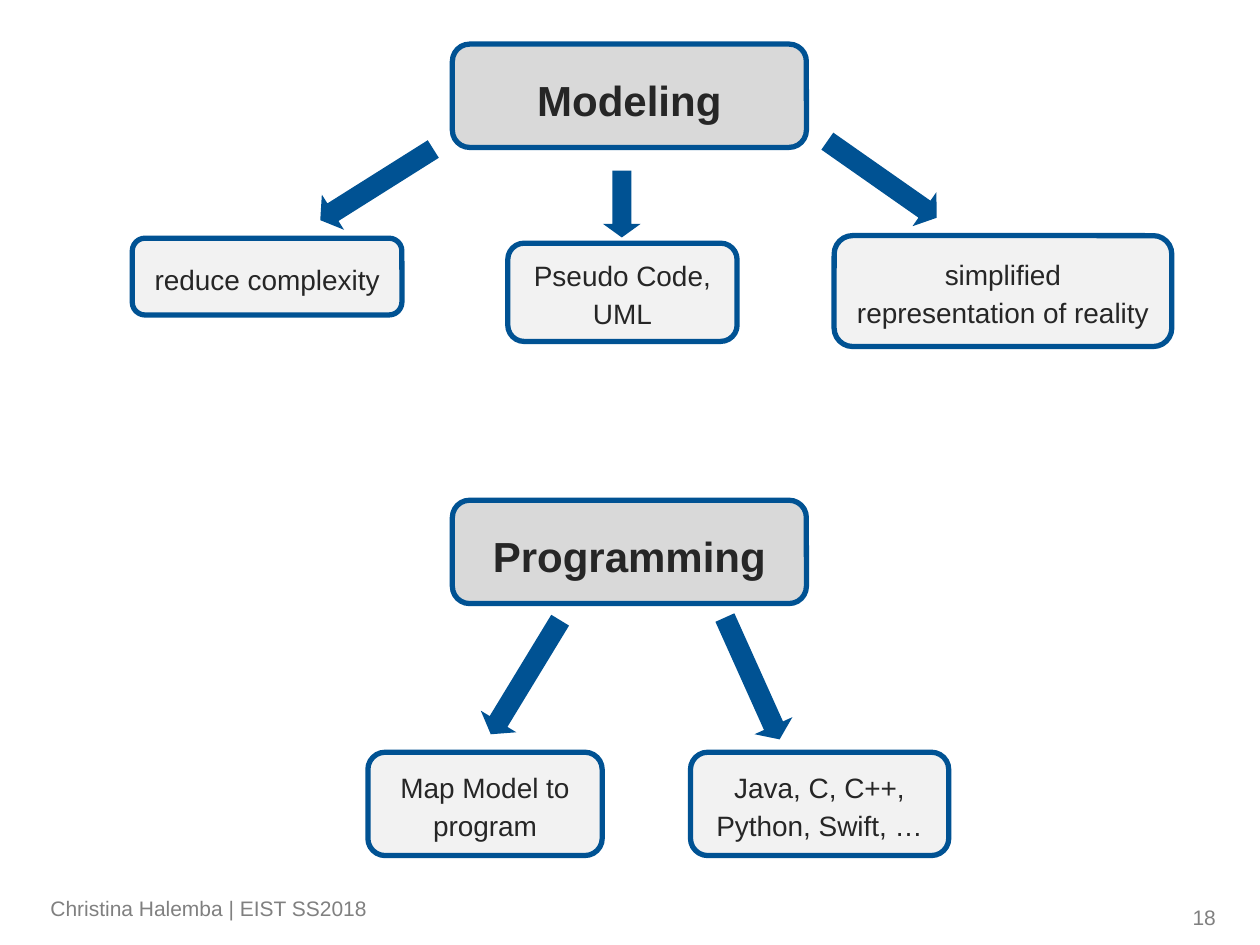
from dataclasses import dataclass

from pptx import Presentation
from pptx import util as u
from pptx.dml.color import RGBColor
from pptx.enum import shapes, text


@dataclass(frozen=True)
class Theme:
    font: str = "Arial"
    blue: str = "005293"
    topic_fill: str = "D9D9D9"
    detail_fill: str = "F2F2F2"
    ink: str = "262626"
    muted: str = "808080"
    topic_pt: int = 24
    detail_pt: int = 16
    footer_pt: int = 12
    border_pt: int = 3
    spacing: float = 1.14


@dataclass(frozen=True)
class Box:
    label: str
    left: float
    top: float
    width: float
    height: float
    topic: bool = False


@dataclass(frozen=True)
class Arrow:
    left: float
    top: float
    angle: float
    length: float = 1.06
    thickness: float = 0.33


THEME = Theme()
TOPIC = dict(left=3.59, width=2.81, height=0.82, topic=True)

BOXES = [
    Box("Modeling", top=0.35, **TOPIC),
    Box("reduce complexity", 1.05, 1.89, 2.14, 0.61),
    Box("Pseudo Code, UML", 4.03, 1.93, 1.82, 0.78),
    Box("simplified representation of reality", 6.62, 1.87, 2.68, 0.88),
    Box("Programming", top=3.97, **TOPIC),
    Box("Map Model to program", 2.92, 5.97, 1.86, 0.82),
    Box("Java, C, C++, Python, Swift, …", 5.48, 5.97, 2.05, 0.82),
]

ARROWS = [
    Arrow(2.46, 1.3, 147.8),
    Arrow(4.67, 1.47, 90, length=0.53, thickness=0.3),
    Arrow(6.47, 1.26, 35),
    Arrow(3.64, 5.21, 121.3),
    Arrow(5.44, 5.22, 65.8),
]


def inches(*values: float) -> list:
    return [u.Inches(v) for v in values]


def write(sp, content: str, *, size: int, color: str, bold: bool = False,
          align=text.PP_ALIGN.LEFT, anchor=text.MSO_ANCHOR.TOP,
          spacing: float = 1.0) -> None:
    tf = sp.text_frame
    tf.word_wrap = True
    tf.vertical_anchor = anchor
    p = tf.paragraphs[0]
    p.alignment = align
    p.line_spacing = spacing
    r = p.add_run()
    r.text = content
    r.font.name = THEME.font
    r.font.size = u.Pt(size)
    r.font.bold = bold
    r.font.color.rgb = RGBColor.from_string(color)


def add_filled(s, kind, left: float, top: float, width: float, height: float, fill: str):
    sp = s.shapes.add_shape(kind, *inches(left, top, width, height))
    sp.shadow.inherit = False
    sp.fill.solid()
    sp.fill.fore_color.rgb = RGBColor.from_string(fill)
    return sp


def draw_box(s, box: Box) -> None:
    fill = THEME.topic_fill if box.topic else THEME.detail_fill
    sp = add_filled(s, shapes.MSO_SHAPE.ROUNDED_RECTANGLE,
                    box.left, box.top, box.width, box.height, fill)
    sp.line.color.rgb = RGBColor.from_string(THEME.blue)
    sp.line.width = u.Pt(THEME.border_pt)
    write(sp, box.label, size=THEME.topic_pt if box.topic else THEME.detail_pt,
          color=THEME.ink, bold=box.topic, align=text.PP_ALIGN.CENTER,
          anchor=text.MSO_ANCHOR.MIDDLE, spacing=THEME.spacing)


def draw_arrow(s, arrow: Arrow) -> None:
    """Place the arrow unrotated, then turn it about its centre."""
    sp = add_filled(s, shapes.MSO_SHAPE.RIGHT_ARROW, arrow.left, arrow.top,
                    arrow.length, arrow.thickness, THEME.blue)
    sp.line.fill.background()
    sp.adjustments[0] = 0.5
    sp.adjustments[1] = 0.36
    sp.rotation = arrow.angle


def draw_footer(s, content: str, left: float, top: float, width: float, height: float,
                inset: float = 0, **style) -> None:
    sp = s.shapes.add_textbox(*inches(left, top, width, height))
    tf = sp.text_frame
    tf.margin_left = tf.margin_right = 0
    tf.margin_top = tf.margin_bottom = u.Inches(inset)
    write(sp, content, size=THEME.footer_pt, color=THEME.muted, **style)


def main() -> None:
    prs = Presentation()
    prs.slide_width, prs.slide_height = inches(10, 7.5)
    s = prs.slides.add_slide(prs.slide_layouts[6])
    draw_footer(s, "Christina Halemba | EIST SS2018", 0.4, 7.08, 7.01, 0.21,
                spacing=THEME.spacing)
    draw_footer(s, "18", 7.41, 7.08, 2.24, 0.4, inset=0.05,
                align=text.PP_ALIGN.RIGHT, anchor=text.MSO_ANCHOR.MIDDLE)
    for arrow in ARROWS:
        draw_arrow(s, arrow)
    for box in BOXES:
        draw_box(s, box)
    prs.save("out.pptx")


if __name__ == "__main__":
    main()
